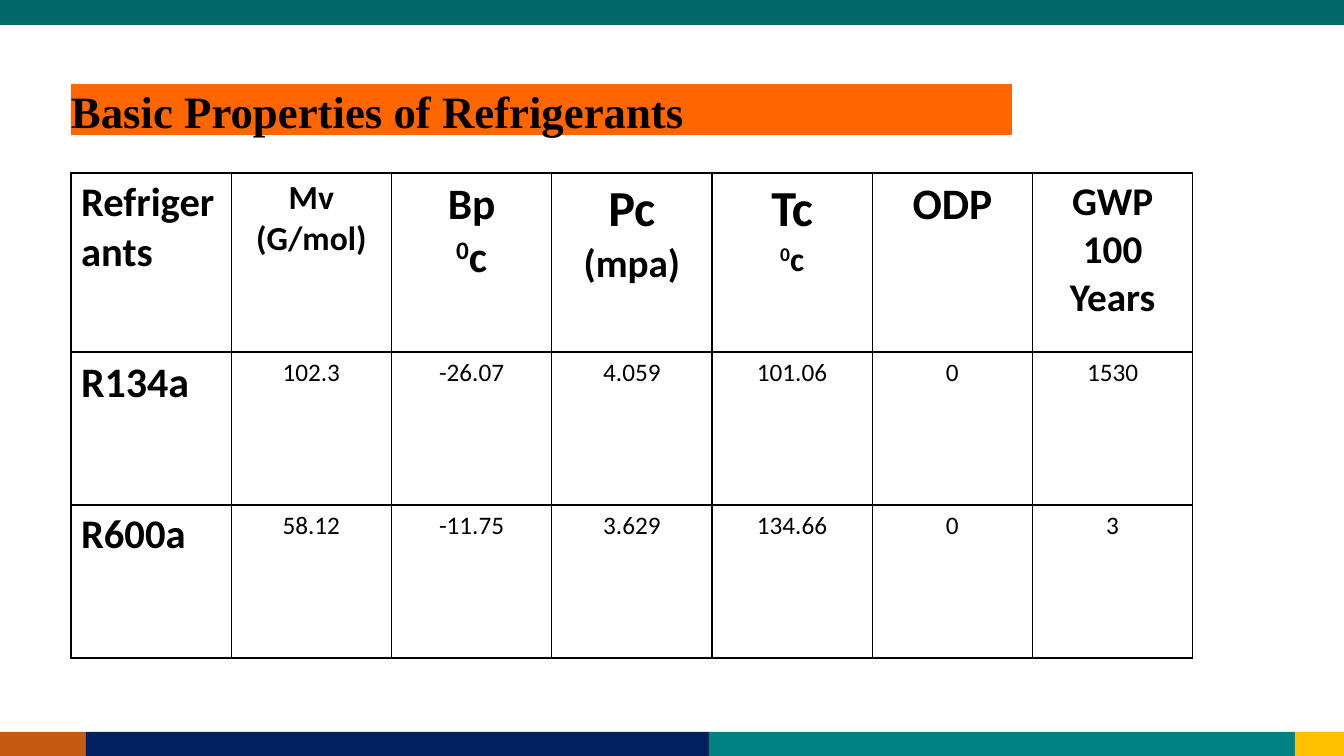
from lxml.etree import SubElement
from pptx import Presentation
from pptx.dml.color import RGBColor
from pptx.enum.shapes import MSO_SHAPE as Shape
from pptx.enum.text import MSO_ANCHOR as Anchor, MSO_AUTO_SIZE as AutoSize, PP_ALIGN as Align
from pptx.oxml.ns import qn
from pptx.util import Pt

PX = 914400 / 100.8


def px(*lengths):
    """Turn pixel lengths into EMU."""
    return [round(length * PX) for length in lengths]


def add_text(para, text, size=18, bold=False, font="Calibri", color="000000",
             align=Align.CENTER, raised=False):
    para.alignment = align
    span = para.add_run()
    span.text = text
    span.font.size = Pt(size)
    span.font.bold = bold
    span.font.name = font
    span.font.color.rgb = RGBColor.from_string(color)
    if raised:
        span.font._element.set("baseline", "30000")


deck = Presentation()
deck.slide_width, deck.slide_height = px(1344, 756)
page = deck.slides.add_slide(deck.slide_layouts[5])

# Coloured bands along the top and bottom edges
bands = [
    (0, 0, 1344, 25, "006666"),
    (0, 732, 86, 24, "C55A11"),
    (86, 732, 623, 24, "002060"),
    (709, 732, 586, 24, "008080"),
    (1295, 732, 49, 24, "FFC000"),
]
for *place, color in bands:
    band = page.shapes.add_shape(Shape.RECTANGLE, *px(*place))
    band.shadow.inherit = False
    band.fill.solid()
    band.fill.fore_color.rgb = RGBColor.from_string(color)
    band.line.fill.background()

# Title
title = page.shapes.title
title.left, title.top, title.width, title.height = px(71, 84, 941, 51)
title.fill.solid()
title.fill.fore_color.rgb = RGBColor.from_string("FF6600")
frame = title.text_frame
frame.margin_left = frame.margin_right = frame.margin_top = frame.margin_bottom = 0
frame.vertical_anchor = Anchor.TOP
frame.auto_size = AutoSize.NONE
frame.word_wrap = True
add_text(frame.paragraphs[0], "Basic Properties of Refrigerants", size=32, bold=True,
         font="Times New Roman", align=Align.LEFT)

# Each heading is a list of lines: (text, size, superscript before the text)
headings = [
    [("Refrigerants", 29, "")],
    [("Mv", 24, ""), ("(G/mol)", 24, "")],
    [("Bp", 31, ""), ("c", 31, "0")],
    [("Pc", 36, ""), ("(mpa)", 28, "")],
    [("Tc", 36, ""), ("c", 24, "0")],
    [("ODP", 31, "")],
    [("GWP", 28, ""), ("100 Years", 28, "")],
]
refrigerants = [
    ("R134a", 30, ["102.3", "-26.07", "4.059", "101.06", "0", "1530"]),
    ("R600a", 29, ["58.12", "-11.75", "3.629", "134.66", "0", "3"]),
]
row_heights = px(179, 153, 153)

table = page.shapes.add_table(len(row_heights), len(headings), *px(71, 173, 1122, 485)).table
table.first_row = table.horz_banding = False
for row, height in zip(table.rows, row_heights):
    row.height = height

for column, lines in enumerate(headings):
    frame = table.cell(0, column).text_frame
    for number, (text, size, raised) in enumerate(lines):
        para = frame.add_paragraph() if number else frame.paragraphs[0]
        align = Align.CENTER if column else Align.LEFT
        if raised:
            add_text(para, raised, size=size, bold=True, align=align, raised=True)
        add_text(para, text, size=size, bold=True, align=align)

for row, (name, size, values) in enumerate(refrigerants, start=1):
    add_text(table.cell(row, 0).text_frame.paragraphs[0], name, size=size, bold=True,
             align=Align.LEFT)
    for column, value in enumerate(values, start=1):
        add_text(table.cell(row, column).text_frame.paragraphs[0], value)

for cell in table.iter_cells():
    properties = cell._tc.get_or_add_tcPr()
    for side in ("a:lnL", "a:lnR", "a:lnT", "a:lnB"):
        border = SubElement(properties, qn(side), w=str(Pt(1)))
        SubElement(SubElement(border, qn("a:solidFill")), qn("a:srgbClr"), val="000000")
    cell.fill.background()

deck.save("out.pptx")
